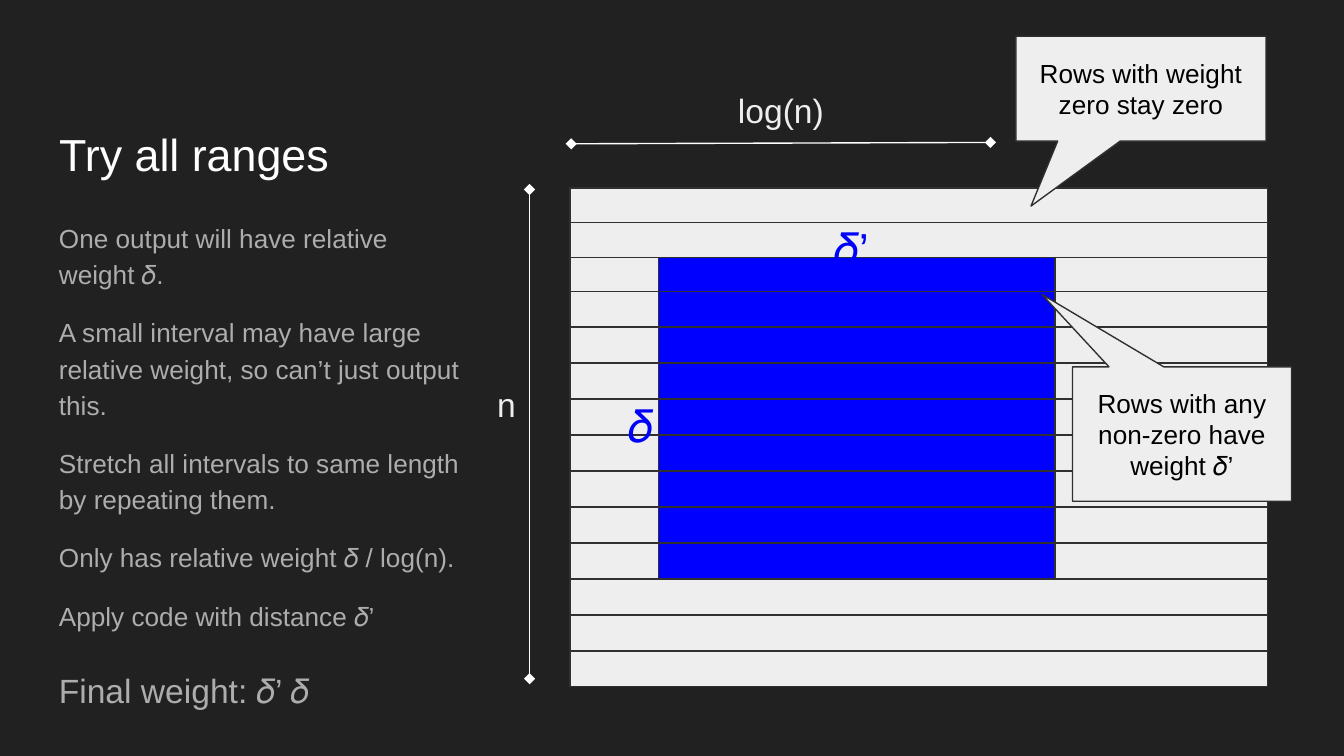
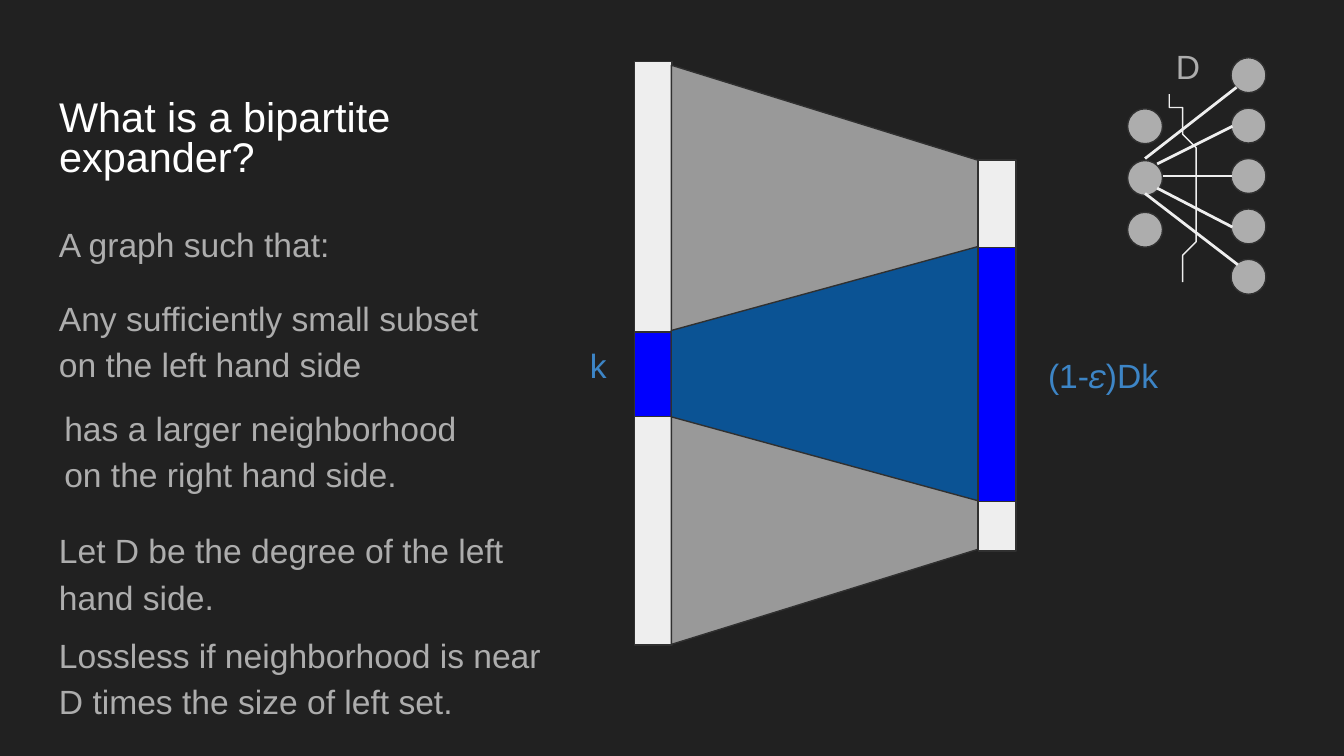
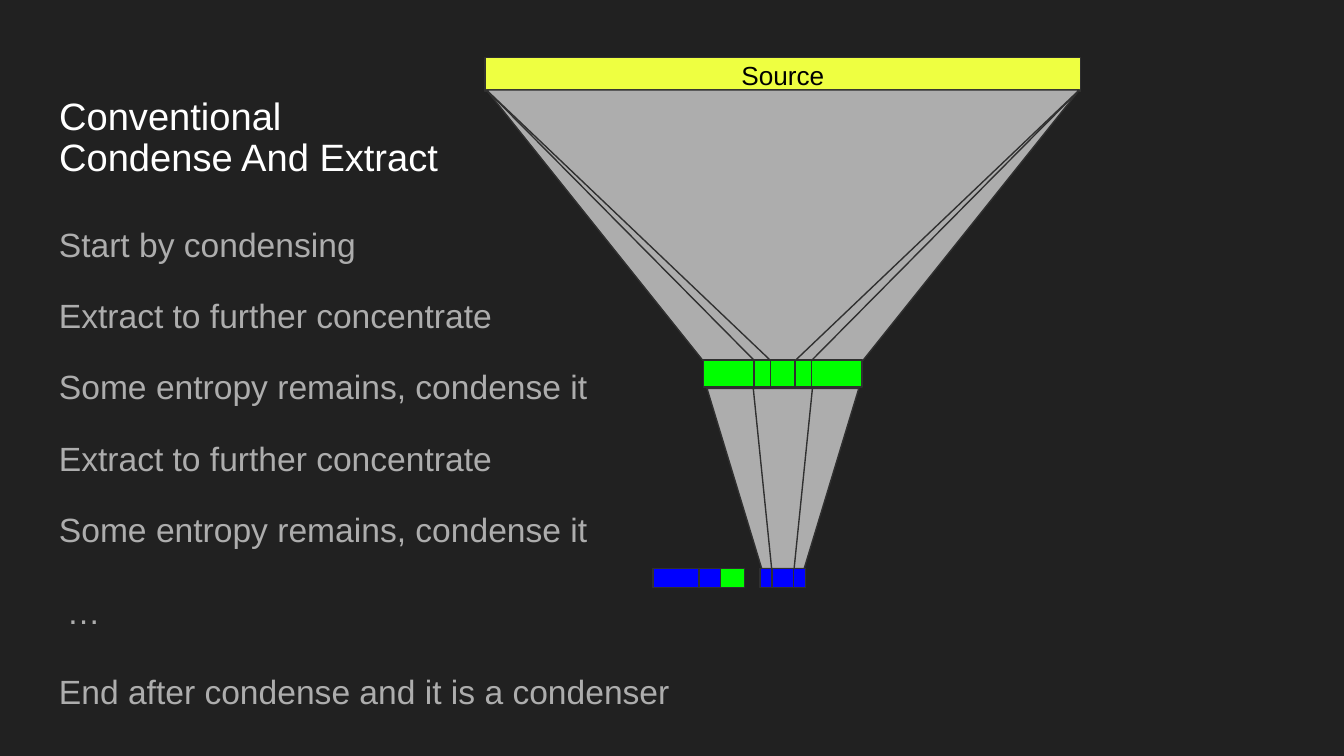
"""Build three dark slides on weights, bipartite expanders and condensers."""
from dataclasses import dataclass

from lxml.etree import SubElement
from pptx import Presentation
from pptx.dml.color import RGBColor
from pptx.enum.shapes import MSO_CONNECTOR as LINK, MSO_SHAPE as SHAPE
from pptx.enum.text import MSO_ANCHOR as ANCHOR, MSO_AUTO_SIZE as FIT, PP_ALIGN as ALIGN
from pptx.oxml.ns import qn
from pptx.util import Inches, Pt


@dataclass(frozen=True)
class Theme:
    font: str = "Arial"
    back: str = "212121"
    edge: str = "303030"
    white: str = "FFFFFF"
    pale: str = "EEEEEE"
    grey: str = "ADADAD"
    dim: str = "999999"
    black: str = "000000"
    blue: str = "0000FF"
    navy: str = "0B5394"
    sky: str = "3D85C6"
    green: str = "00FF00"
    yellow: str = "EEFF41"
    body: float = 18
    small: float = 14
    big: float = 24


T = Theme()
COLS, ROWS = 100, 56.25
CELL = Inches(0.1)
INSETS = dict.fromkeys(("margin_left", "margin_top", "margin_right", "margin_bottom"), CELL)


def add(s, geom, x, y, w, h, fill=None, adj=(), rot=0):
    """Add a shape, or a text box when geom is None, in grid cells."""
    at = [round(v * CELL) for v in (x, y, w, h)]
    if geom is None:
        return s.shapes.add_textbox(*at)
    sp = s.shapes.add_shape(geom, *at)
    sp.shadow.inherit = False
    sp.fill.solid()
    sp.fill.fore_color.rgb = RGBColor.from_string(fill)
    sp.line.color.rgb = RGBColor.from_string(T.edge)
    sp.line.width = Pt(0.75)
    sp.rotation = rot
    for i, value in enumerate(adj):
        sp.adjustments[i] = value
    return sp


def write(sp, *lines, size=T.body, color=T.grey, anchor=ANCHOR.TOP, align=ALIGN.LEFT,
          spacing=1.15):
    """Write one paragraph per line in the shape."""
    tf = sp.text_frame
    frame = {"word_wrap": True, "auto_size": FIT.NONE, "vertical_anchor": anchor, **INSETS}
    for name, value in frame.items():
        setattr(tf, name, value)
    for i, line in enumerate(lines):
        p = tf.add_paragraph() if i else tf.paragraphs[0]
        form = {"alignment": align, "line_spacing": spacing, "space_before": Pt(12 if i else 0)}
        for name, value in form.items():
            setattr(p, name, value)
        r = p.add_run()
        r.text = line
        for name, value in {"name": T.font, "size": Pt(size)}.items():
            setattr(r.font, name, value)
        r.font.color.rgb = RGBColor.from_string(color)


prs = Presentation()
prs.slide_width, prs.slide_height = round(COLS * CELL), round(ROWS * CELL)
back = prs.slide_master.background.fill
back.solid()
back.fore_color.rgb = RGBColor.from_string(T.back)

slides = []
for title, size, spacing in (
    ("Try all ranges", T.big, 1.0),
    ("What is a bipartite expander?", 22.2, 0.8),
    ("Conventional Condense And Extract", 20.4, 0.9),
):
    s = prs.slides.add_slide(prs.slide_layouts[5])
    place = {"left": 3.4, "top": 6.1, "width": 30.7, "height": 8.3}
    for name, value in place.items():
        setattr(s.shapes.title, name, round(value * CELL))
    write(s.shapes.title, title, size=size, color=T.white, anchor=ANCHOR.BOTTOM, spacing=spacing)
    slides.append(s)
ranges, expander, condenser = slides

write(add(ranges, None, 3.4, 15.2, 32.6, 32.5),
      "One output will have relative weight 𝛿.",
      "A small interval may have large relative weight, so can’t just output this.",
      "Stretch all intervals to same length by repeating them.",
      "Only has relative weight 𝛿 / log(n).",
      "Apply code with distance 𝛿’",
      size=T.small)
write(add(ranges, None, 3.4, 48.4, 23.4, 4.6), "Final weight: 𝛿’ 𝛿")

row_tops = [14 + 2.57 * i for i in range(3)] + [21.7 + 2.68 * i for i in range(11)]
for i, top in enumerate(row_tops):
    add(ranges, SHAPE.RECTANGLE, 42.4, top, 51.9, 2.6, T.pale)
    if 2 <= i <= 10:
        add(ranges, SHAPE.RECTANGLE, 49, top, 29.5, 2.6, T.blue)

for at, adj, text in (
    ((75.6, 2.7, 18.6, 7.8), (-0.44, 1.12), "Rows with weight zero stay zero"),
    ((79.8, 27.3, 16.3, 10), (-0.64, -1.04), "Rows with any non-zero have weight 𝛿’"),
):
    write(add(ranges, SHAPE.RECTANGULAR_CALLOUT, *at, T.pale, adj), text, size=T.small,
          color=T.black, anchor=ANCHOR.MIDDLE, align=ALIGN.CENTER, spacing=1.0)

for at, text, form in (
    ((42.5, 5.7, 31.2, 5), "log(n)", {"color": T.pale, "align": ALIGN.CENTER, "spacing": 1.0}),
    ((36, 27.6, 3.4, 5), "n", {"color": T.pale, "spacing": 1.0}),
    ((61.1, 14.8, 5.4, 6.6), "𝛿’", {"color": T.blue, "size": T.big}),
    ((45.8, 28, 4.6, 6.6), "𝛿", {"color": T.blue, "size": T.big}),
):
    write(add(ranges, None, *at), text, **form)

for x, y, w, h, text in (
    (3.4, 15.2, 30.7, 4, "A graph such that:"),
    (3.4, 20.7, 33.4, 6.8, "Any sufficiently small subset on the left hand side"),
    (3.8, 28.9, 34.5, 8.3, "has a larger neighborhood on the right hand side."),
    (3.4, 38, 35.3, 8.9, "Let D be the degree of the left hand side."),
    (3.4, 45.8, 39.5, 8.6, "Lossless if neighborhood is near D times the size of left set."),
):
    write(add(expander, None, x, y, w, h), text)

for x, y, h, fill in (
    (47.2, 4.6, 43.4, T.pale), (72.8, 11.9, 29.1, T.pale),
    (47.2, 24.7, 6.3, T.blue), (72.8, 18.4, 18.9, T.blue),
):
    add(expander, SHAPE.RECTANGLE, x, y, 2.8, h, fill)
add(expander, SHAPE.TRAPEZOID, 39.8, 15, 43.1, 22.8, T.dim, (0.31,), 90)
add(expander, SHAPE.TRAPEZOID, 51.9, 16.4, 18.9, 22.8, T.navy, (0.33,), 270)

for x, top, step, count in ((83.9, 8.1, 3.85, 3), (91.6, 4.3, 3.75, 5)):
    for i in range(count):
        add(expander, SHAPE.OVAL, x, top + step * i, 2.6, 2.6, T.grey)

arc = [
    tuple((1 - t) ** 3 * a + 3 * t * (1 - t) ** 2 * b + 3 * t * t * (1 - t) * c + t ** 3 * d
          for a, b, c, d in zip(*curve))
    for curve in (((87.2, 6.9), (87.5, 8), (88.3, 8.9), (88.5, 10.1)),
                  ((88.5, 10.1), (89.4, 13.5), (89.3, 17.6), (87.6, 20.6)))
    for t in (i / 10 for i in range(11))
]
pen = expander.shapes.build_freeform(*arc[0], scale=CELL)
pen.add_line_segments(arc[1:], close=False)
sp = pen.convert_to_shape()
sp.shadow.inherit = False
sp.fill.background()
sp.line.color.rgb = RGBColor.from_string(T.pale)
sp.line.width = Pt(0.75)

for at, text, color in (
    ((42.9, 24.7, 4.3, 5), "k", T.sky),
    ((77, 25.4, 23, 5), "(1-𝜀)Dk", T.sky),
    ((86.5, 2.4, 3.5, 5), "D", T.grey),
):
    write(add(expander, None, *at), text, color=color, spacing=1.0)

for s, color, width, ends, lines in (
    (ranges, T.white, 0.75, ("headEnd", "tailEnd"),
     ((42.5, 10.7, 73.7, 10.6), (39.4, 14.1, 39.4, 50.5))),
    (expander, T.pale, 1.5, (),
     ((92, 6.5, 85.2, 11.8), (91.7, 9.4, 86.1, 12.2), (91.7, 13.1, 86.5, 13.1),
      (91.7, 16.9, 86.1, 14), (92.1, 19.7, 85.2, 14.4))),
):
    for points in lines:
        link = s.shapes.add_connector(LINK.STRAIGHT, *[round(v * CELL) for v in points])
        link.line.color.rgb = RGBColor.from_string(color)
        link.line.width = Pt(width)
        for end in ends:
            SubElement(link.line._get_or_add_ln(), qn(f"a:{end}"), type="diamond")
        SubElement(link._element.spPr, qn("a:effectLst"))

steps = ("Start by condensing", "Extract to further concentrate",
         "Some entropy remains, condense it", "Extract to further concentrate",
         "Some entropy remains, condense it")
for i, text in enumerate(steps):
    write(add(condenser, None, 3.4, 15.2 + 5.3 * i, 42.2, 4.5), text)
write(add(condenser, None, 4, 42.5, 42.2, 4.5), "…")
write(add(condenser, None, 3.4, 48.5, 57.1, 4.5), "End after condense and it is a condenser")

mid = 58.25
write(add(condenser, SHAPE.RECTANGLE, mid - 22.15, 4.3, 44.3, 2.5, T.yellow), "Source",
      size=T.small, color=T.black, anchor=ANCHOR.MIDDLE, align=ALIGN.CENTER, spacing=1.0)
for top, h, bar_h, fill, funnels in (
    (6.7, 20.1, 2, T.green, ((44.1, 0.8, 11.8), (44.1, 0.99, 4.3), (44.1, 1.05, 1.8))),
    (28.9, 13.4, 1.4, T.blue, ((11.3, 0.36, 3.4), (4.4, 0.31, 1.6))),
):
    for w, adj, bar_w in funnels:
        add(condenser, SHAPE.TRAPEZOID, mid - w / 2, top, w, h, T.grey, (adj,), 180)
        add(condenser, SHAPE.RECTANGLE, mid - bar_w / 2, top + h, bar_w, bar_h, fill)
for x, w, fill in ((48.6, 3.4, T.blue), (52, 1.6, T.blue), (53.6, 1.8, T.green)):
    add(condenser, SHAPE.RECTANGLE, x, 42.3, w, 1.4, fill)

prs.save("out.pptx")
